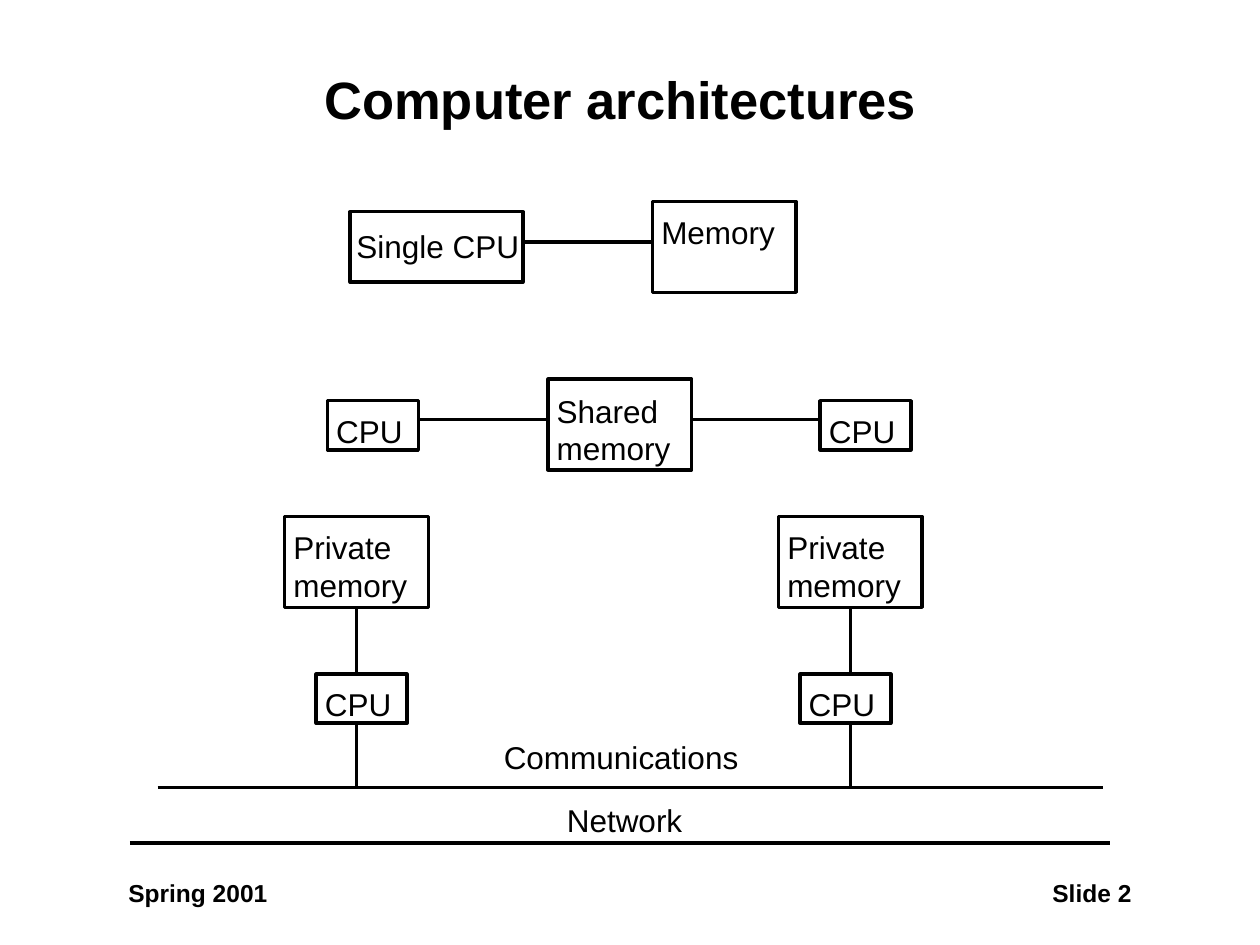
from lxml.etree import SubElement
from pptx import Presentation
from pptx.dml.color import RGBColor
from pptx.enum.shapes import MSO_CONNECTOR, MSO_SHAPE
from pptx.enum.text import MSO_ANCHOR, PP_ALIGN
from pptx.oxml.ns import qn
from pptx.util import Inches, Pt

BLACK, WHITE = "000000", "FFFFFF"
TITLE = "Computer architectures"

# Box sizes: width, height, label width, label height
CPU = (0.72, 0.39, 0.73, 0.4)
MEMORY = (1.14, 0.72, 1.11, 0.7)
SINGLE_MEMORY = (1.14, 0.72, 1.11, 0.4)
SINGLE_CPU = (1.37, 0.56, 1.49, 0.4)

# Boxes: label, left, top, size, label offset
NEAR = (-0.03, 0.04)
BOXES = [
    ("Single CPU", 2.78, 1.68, SINGLE_CPU, (-0.05, 0.07)),
    ("Memory", 5.18, 1.6, SINGLE_MEMORY, NEAR),
    ("CPU", 2.6, 3.18, CPU, NEAR),
    ("Shared\nmemory", 4.35, 3.01, MEMORY, (-0.03, 0.05)),
    ("CPU", 6.51, 3.18, CPU, NEAR),
    ("Private\nmemory", 2.26, 4.1, MEMORY, NEAR),
    ("Private\nmemory", 6.18, 4.1, MEMORY, NEAR),
    ("CPU", 2.51, 5.35, CPU, NEAR),
    ("CPU", 6.35, 5.35, CPU, NEAR),
]

# Lines: x1, y1, x2, y2
LINKS = [
    (4.17, 1.92, 5.17, 1.92),
    (3.33, 3.33, 4.33, 3.33),
    (5.5, 3.33, 6.5, 3.33),
]
NETWORK_LINES = [(1.25, 6.25, 8.75, 6.25), (1.03, 6.69, 8.81, 6.69)]
NODE_CENTERS = (2.83, 6.75)
NODE_DROPS = [(4.83, 5.33), (5.75, 6.25)]

# Free labels: text, left, top, width, height, format
FOOTER = dict(size=14, bold=True)
LABELS = [
    ("Communications", 3.9, 5.81, 2.06, 0.4, {}),
    ("Network", 4.4, 6.31, 1.12, 0.4, {}),
    ("Spring 2001", 0.92, 6.92, 1.31, 0.33, FOOTER),
    ("Slide 2", 7.41, 6.92, 1.67, 0.33, dict(FOOTER, align=PP_ALIGN.RIGHT)),
]


def color(value):
    return RGBColor.from_string(value)


def write(frame, text, size=18, bold=False, align=PP_ALIGN.LEFT,
          anchor=MSO_ANCHOR.TOP, wrap=False, spacing=None):
    frame.text = text
    frame.word_wrap = wrap
    frame.vertical_anchor = anchor
    for paragraph in frame.paragraphs:
        paragraph.alignment = align
        paragraph.line_spacing = spacing
        font = paragraph.font
        font.name, font.size, font.bold = "Arial", Pt(size), bold
        font.color.rgb = color(BLACK)


def add_label(slide, text, left, top, width, height, **style):
    label = slide.shapes.add_textbox(*map(Inches, (left, top, width, height)))
    write(label.text_frame, text, **style)


def add_box(slide, text, left, top, size, offset):
    width, height, label_width, label_height = size
    box = slide.shapes.add_shape(
        MSO_SHAPE.RECTANGLE, *map(Inches, (left, top, width, height)))
    box.shadow.inherit = False
    box.fill.solid()
    box.fill.fore_color.rgb = color(WHITE)
    box.line.color.rgb = color(BLACK)
    box.line.width = Pt(2)
    add_label(slide, text, left + offset[0], top + offset[1],
              label_width, label_height)


def add_line(slide, ends):
    line = slide.shapes.add_connector(MSO_CONNECTOR.STRAIGHT, *map(Inches, ends))
    line.line.color.rgb = color(BLACK)
    line.line.width = Pt(2)
    SubElement(line._element.spPr, qn("a:effectLst"))


def main():
    deck = Presentation()
    deck.slide_width, deck.slide_height = Inches(10), Inches(7.5)
    slide = deck.slides.add_slide(deck.slide_layouts[5])

    # Title
    title = slide.shapes.title
    title.left, title.top, title.width, title.height = map(
        Inches, (1.08, 0.33, 7.69, 0.96))
    write(title.text_frame, TITLE, size=30, bold=True, align=PP_ALIGN.CENTER,
          anchor=MSO_ANCHOR.MIDDLE, wrap=True, spacing=0.9)

    # Links, network and the drops from each node
    drops = [(x, top, x, bottom) for x in NODE_CENTERS for top, bottom in NODE_DROPS]
    for ends in LINKS + NETWORK_LINES + drops:
        add_line(slide, ends)

    # Boxes and free labels
    for box in BOXES:
        add_box(slide, *box)
    for *label, style in LABELS:
        add_label(slide, *label, **style)

    deck.save("out.pptx")


if __name__ == "__main__":
    main()
